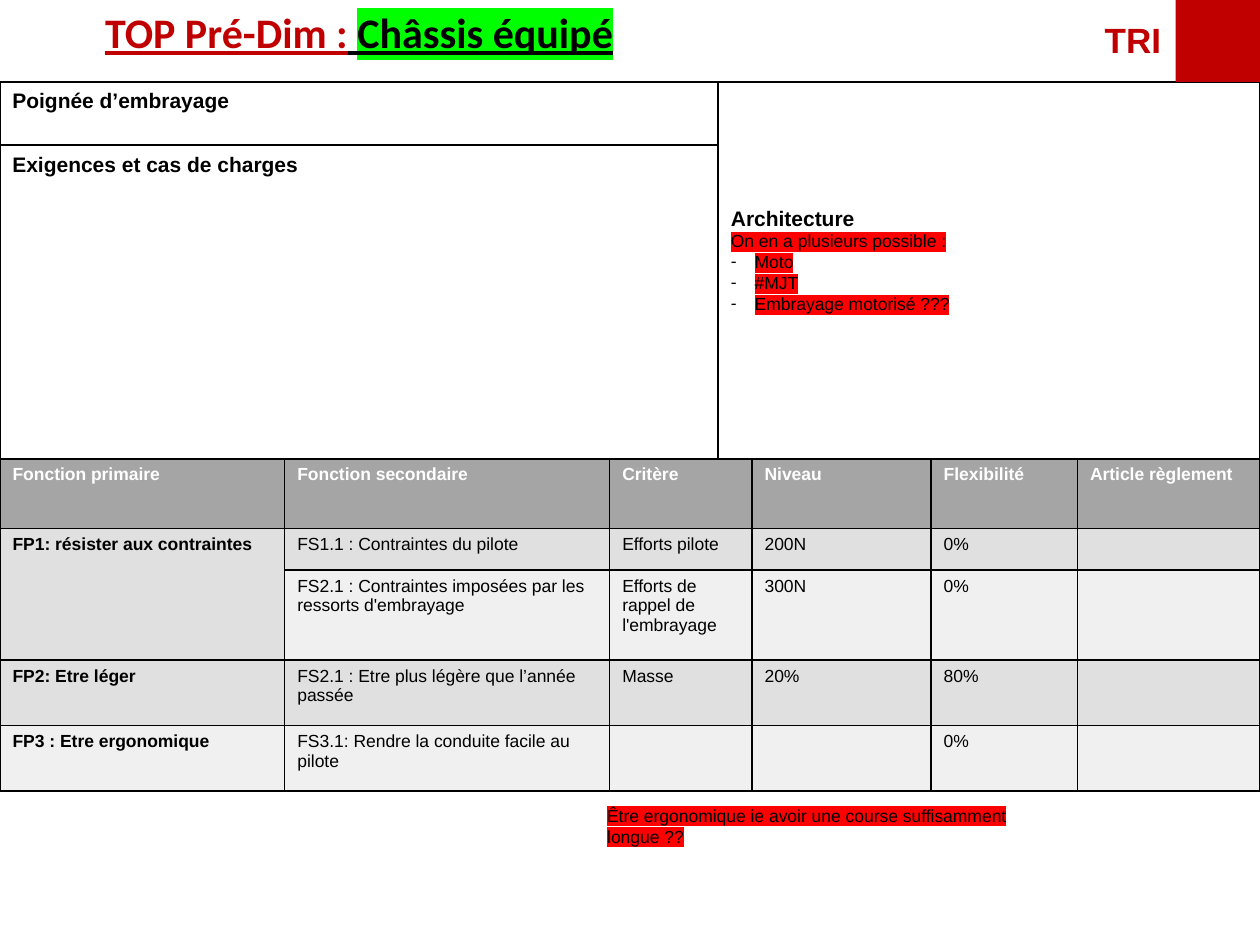
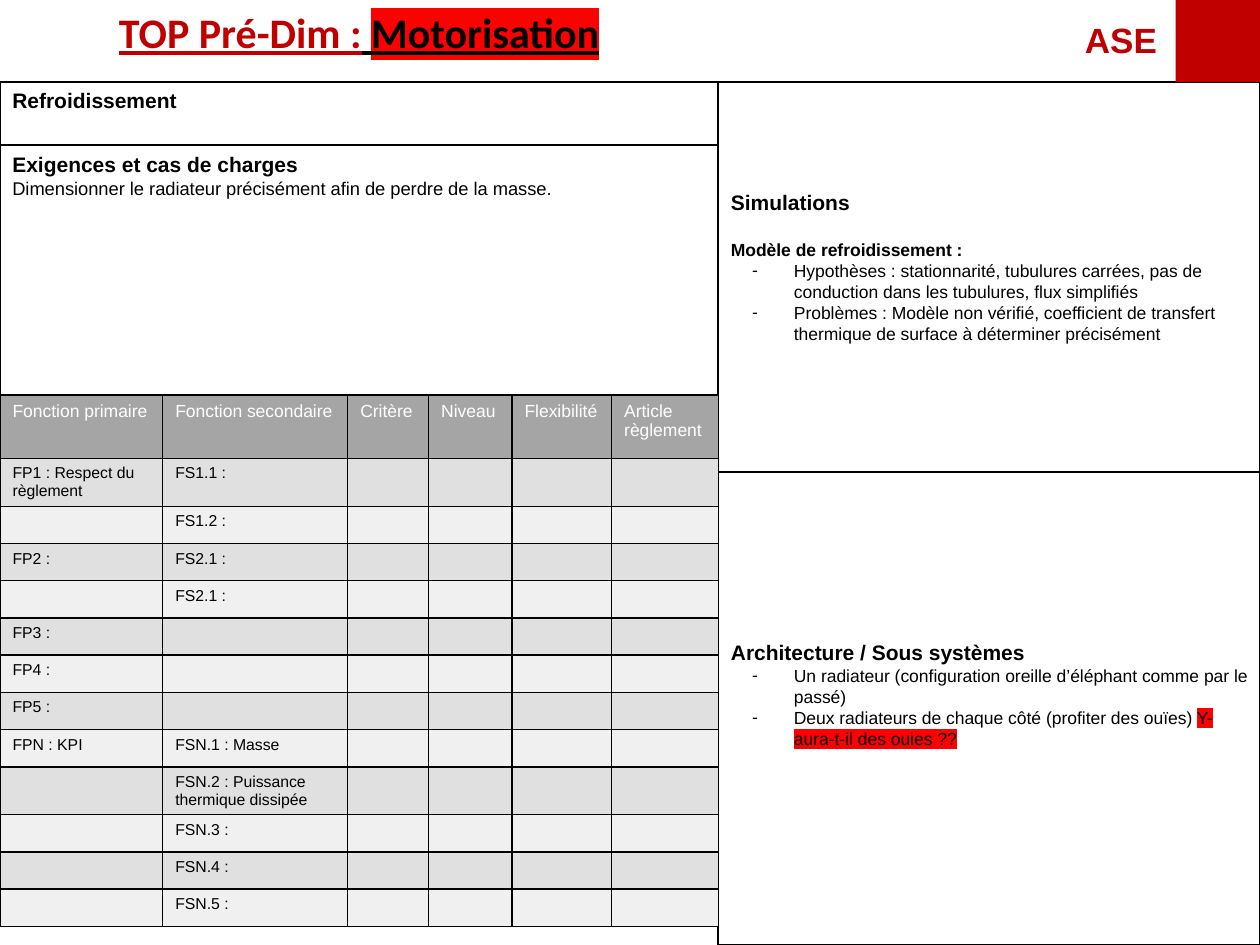
from dataclasses import dataclass
from pptx import Presentation
from pptx.dml.color import RGBColor
from pptx.enum.shapes import MSO_SHAPE as Shape
from pptx.enum.text import MSO_ANCHOR as Anchor, MSO_AUTO_SIZE as AutoSize, PP_ALIGN as Align
from pptx.oxml.ns import qn
from pptx.oxml.xmlchemy import OxmlElement
from pptx.util import Cm, Pt


@dataclass(frozen=True)
class Style:
    size: float
    bold: bool = False
    color: str = "000000"
    font: str = "Arial"
    underline: bool = False
    highlight: str = ""


class Theme:
    accent, black, white = "C00000", "000000", "FFFFFF"
    header_fill = "A5A5A5"
    bands = ("E0E0E0", "F0F0F0")
    green, red = "00FF00", "FF0000"
    styles = {
        "title": Style(24, True, accent, "Calibri", True),
        "title gap": Style(24, True, black, "Calibri", True),
        "title ready": Style(24, True, black, "Calibri", True, green),
        "title late": Style(24, True, black, "Calibri", True, red),
        "tag": Style(20, True, accent),
        "heading": Style(12, True),
        "subheading": Style(10, True),
        "detail": Style(10.5),
        "text": Style(10),
        "alert": Style(10, highlight=red),
        "strong header": Style(10, True, white),
        "light header": Style(10, color=white),
        "strong key": Style(10, True),
        "small": Style(9),
    }


PAGE_WIDTH, PAGE_HEIGHT = 25.4, 19.05
LEFT_WIDTH = 14.48
BAND_HEIGHT = 1.65
PART_BOTTOM = 2.93
SQUARE_LEFT = 23.7

COLUMNS = ["Fonction primaire", "Fonction secondaire", "Critère", "Niveau",
           "Flexibilité", "Article règlement"]

PAGES = [
    {
        "layout": 1,
        "subject": ("Châssis équipé", "title ready"),
        "tag": ("TRI", 22.02),
        "part": "Poignée d’embrayage",
        "requirements": [],
        "panels": [
            {"bottom": 9.25, "lift": 0.42, "indent": (0.48, -0.48), "lines": [
                ("plain", 0, [("Architecture", "heading")]),
                ("plain", 0, [("On en a plusieurs possible :", "alert")]),
                ("bullet", 0, [("Moto", "alert")]),
                ("bullet", 0, [("#MJT", "alert")]),
                ("bullet", 0, [("Embrayage motorisé ???", "alert")]),
            ]},
        ],
        "table": {
            "top": 9.25,
            "widths": [5.74, 6.55, 2.87, 3.61, 2.95, 3.68],
            "heights": [1.4, 0.84, 1.82, 1.32, 1.32],
            "styles": ("strong header", "strong key", "text"),
            "merges": [((1, 0), (2, 0))],
            "rows": [
                ["FP1: résister aux contraintes", "FS1.1 : Contraintes du pilote",
                 "Efforts pilote", "200N", "0%"],
                ["", "FS2.1 : Contraintes imposées par les ressorts d'embrayage",
                 "Efforts de rappel de l'embrayage", "300N", "0%"],
                ["FP2: Etre léger", "FS2.1 : Etre plus légère que l’année passée",
                 "Masse", "20%", "80%"],
                ["FP3 : Etre ergonomique", "FS3.1: Rendre la conduite facile au pilote",
                 "", "", "0%"],
            ],
        },
        "note": "Être ergonomique ie avoir une course suffisamment longue ??",
    },
    {
        "layout": 3,
        "subject": ("Motorisation", "title late"),
        "tag": ("ASE", 21.62),
        "part": "Refroidissement",
        "requirements": ["Dimensionner le radiateur précisément afin de perdre de la masse."],
        "panels": [
            {"bottom": 9.52, "lift": 0.42, "indent": (1.27, -0.84), "lines": [
                ("plain", 0, [("Simulations", "heading")]),
                ("plain", 14, [("Modèle de refroidissement :", "subheading")]),
                ("bullet", 0, [("Hypothèses : stationnarité, tubulures carrées, pas de "
                                "conduction dans les tubulures, flux simplifiés", "text")]),
                ("bullet", 0, [("Problèmes : Modèle non vérifié, coefficient de transfert "
                                "thermique de surface à déterminer précisément", "text")]),
            ]},
            {"bottom": PAGE_HEIGHT, "lift": 0.58, "indent": (1.27, -0.84), "lines": [
                ("plain", 0, [("Architecture / Sous systèmes", "heading")]),
                ("bullet", 0, [("Un radiateur (configuration oreille d’éléphant comme "
                                "par le passé)", "text")]),
                ("bullet", 0, [("Deux radiateurs de chaque côté (profiter des ouïes) ", "text"),
                               ("Y-aura-t-il des ouies ??", "alert")]),
            ]},
        ],
        "table": {
            "top": 7.97,
            "widths": [3.28, 3.73, 1.63, 1.68, 2.01, 2.15],
            "heights": [1.27] + [0.75] * 12,
            "styles": ("light header", "small", "small"),
            "merges": [],
            "rows": [
                ["FP1 : Respect du règlement", "FS1.1 :"],
                ["", "FS1.2 :"],
                ["FP2 :", "FS2.1 :"],
                ["", "FS2.1 :"],
                ["FP3 :"],
                ["FP4 :"],
                ["FP5 :"],
                ["FPN : KPI", "FSN.1 : Masse"],
                ["", "FSN.2 : Puissance thermique dissipée"],
                ["", "FSN.3 :"],
                ["", "FSN.4 :"],
                ["", "FSN.5 :"],
            ],
        },
        "note": "",
    },
]


def rgb(color):
    return RGBColor.from_string(color)


def add_element(parent, tag, **attributes):
    child = OxmlElement(tag)
    for name, value in attributes.items():
        child.set(name, str(value))
    parent.append(child)
    return child


def format_span(span, style_name):
    style = Theme.styles[style_name]
    font = span.font
    font.name, font.size = style.font, Pt(style.size)
    font.bold, font.underline = style.bold, style.underline
    font.color.rgb = rgb(style.color)
    if style.highlight:
        highlight = OxmlElement("a:highlight")
        add_element(highlight, "a:srgbClr", val=style.highlight)
        span._r.get_or_add_rPr().find(qn("a:solidFill")).addnext(highlight)


def set_bullet(para, kind, indent):
    properties = para._p.get_or_add_pPr()
    left, first = indent if kind == "bullet" else (0, 0)
    properties.set("marL", str(Cm(left)))
    properties.set("indent", str(Cm(first)))
    if kind == "bullet":
        add_element(add_element(properties, "a:buClr"), "a:srgbClr", val=Theme.black)
        add_element(properties, "a:buFont", typeface="Arial")
        add_element(properties, "a:buChar", char="-")
    else:
        add_element(properties, "a:buNone")


def write_lines(box, lines, align=Align.LEFT, anchor=Anchor.TOP, indent=(0, 0)):
    frame = box.text_frame
    frame.word_wrap = True
    frame.auto_size = AutoSize.NONE
    frame.vertical_anchor = anchor
    for index, (kind, gap, spans) in enumerate(lines):
        para = frame.add_paragraph() if index else frame.paragraphs[0]
        set_bullet(para, kind, indent)
        para.alignment = align
        para.space_before = Pt(gap)
        for text, style_name in spans:
            span = para.add_run()
            span.text = text
            format_span(span, style_name)


def plain(text, style_name):
    return ("plain", 0, [(text, style_name)])


def place(box, left, top, width, height):
    box.left, box.top, box.width, box.height = Cm(left), Cm(top), Cm(width), Cm(height)


def outline(box):
    box.fill.background()
    box.line.color.rgb = rgb(Theme.black)
    box.line.width = Pt(1)


def add_text(page, left, top, width, height, line):
    box = page.shapes.add_textbox(Cm(left), Cm(top), Cm(width), Cm(height))
    write_lines(box, [line])


def add_rectangle(page, left, top, width, height):
    box = page.shapes.add_shape(Shape.RECTANGLE, Cm(left), Cm(top), Cm(width), Cm(height))
    box.shadow.inherit = False
    return box


def add_band(page, content):
    title = page.shapes.title
    place(title, 0, 0, LEFT_WIDTH, 1.27)
    spans = [("TOP Pré-Dim :", "title"), (" ", "title gap"), content["subject"]]
    write_lines(title, [("plain", 0, spans)], Align.CENTER)
    tag, left = content["tag"]
    add_text(page, left, 0.25, SQUARE_LEFT - left, 1.12, plain(tag, "tag"))
    square = add_rectangle(page, SQUARE_LEFT, 0, PAGE_WIDTH - SQUARE_LEFT, BAND_HEIGHT)
    square.fill.solid()
    square.fill.fore_color.rgb = rgb(Theme.accent)
    square.line.fill.background()


def add_left_boxes(page, content):
    requirements = [plain("Exigences et cas de charges", "heading")]
    requirements += [plain(text, "detail") for text in content["requirements"]]
    for top, bottom, lines in [
        (BAND_HEIGHT, PART_BOTTOM, [plain(content["part"], "heading")]),
        (PART_BOTTOM, content["table"]["top"], requirements),
    ]:
        box = add_rectangle(page, 0, top, LEFT_WIDTH, bottom - top)
        outline(box)
        write_lines(box, lines)


def add_panels(page, panels):
    bodies = [box for box in page.placeholders if box.placeholder_format.idx > 0]
    top = BAND_HEIGHT
    for box, panel in zip(bodies, panels):
        place(box, LEFT_WIDTH, top, PAGE_WIDTH - LEFT_WIDTH, panel["bottom"] - top)
        outline(box)
        write_lines(box, panel["lines"], anchor=Anchor.MIDDLE, indent=panel["indent"])
        box.text_frame.margin_bottom = Cm(0.13 + panel["lift"])
        top = panel["bottom"]


def format_cell(cell, text, style_name, fill):
    properties = cell._tc.get_or_add_tcPr()
    for side in ("L", "R", "T", "B"):
        border = add_element(properties, f"a:ln{side}", w=Pt(1))
        add_element(add_element(border, "a:solidFill"), "a:srgbClr", val=Theme.black)
    cell.fill.solid()
    cell.fill.fore_color.rgb = rgb(fill)
    para = cell.text_frame.paragraphs[0]
    if text:
        para.text = text
        format_span(para.runs[0], style_name)
    else:
        size = Theme.styles[style_name].size
        add_element(para._p, "a:endParaRPr", sz=int(size * 100))


def add_function_table(page, content):
    widths, heights = content["widths"], content["heights"]
    table = page.shapes.add_table(len(heights), len(widths), Cm(0), Cm(content["top"]),
                                  Cm(sum(widths)), Cm(sum(heights))).table
    table.horz_banding = False
    for column, width in zip(table.columns, widths):
        column.width = Cm(width)
    header, key, value = content["styles"]
    for index, texts in enumerate([COLUMNS] + content["rows"]):
        table.rows[index].height = Cm(heights[index])
        fill = Theme.bands[(index - 1) % 2] if index else Theme.header_fill
        texts = texts + [""] * (len(widths) - len(texts))
        for position, text in enumerate(texts):
            style_name = header if index == 0 else value if position else key
            format_cell(table.cell(index, position), text, style_name, fill)
    for first, last in content["merges"]:
        table.cell(*first).merge(table.cell(*last))


def main():
    deck = Presentation()
    deck.slide_width, deck.slide_height = Cm(PAGE_WIDTH), Cm(PAGE_HEIGHT)
    for content in PAGES:
        page = deck.slides.add_slide(deck.slide_layouts[content["layout"]])
        add_band(page, content)
        add_left_boxes(page, content)
        add_panels(page, content["panels"])
        add_function_table(page, content["table"])
        if content["note"]:
            add_text(page, 11.99, 16.1, 8.66, 1.12, plain(content["note"], "alert"))
    deck.save("out.pptx")


if __name__ == "__main__":
    main()
